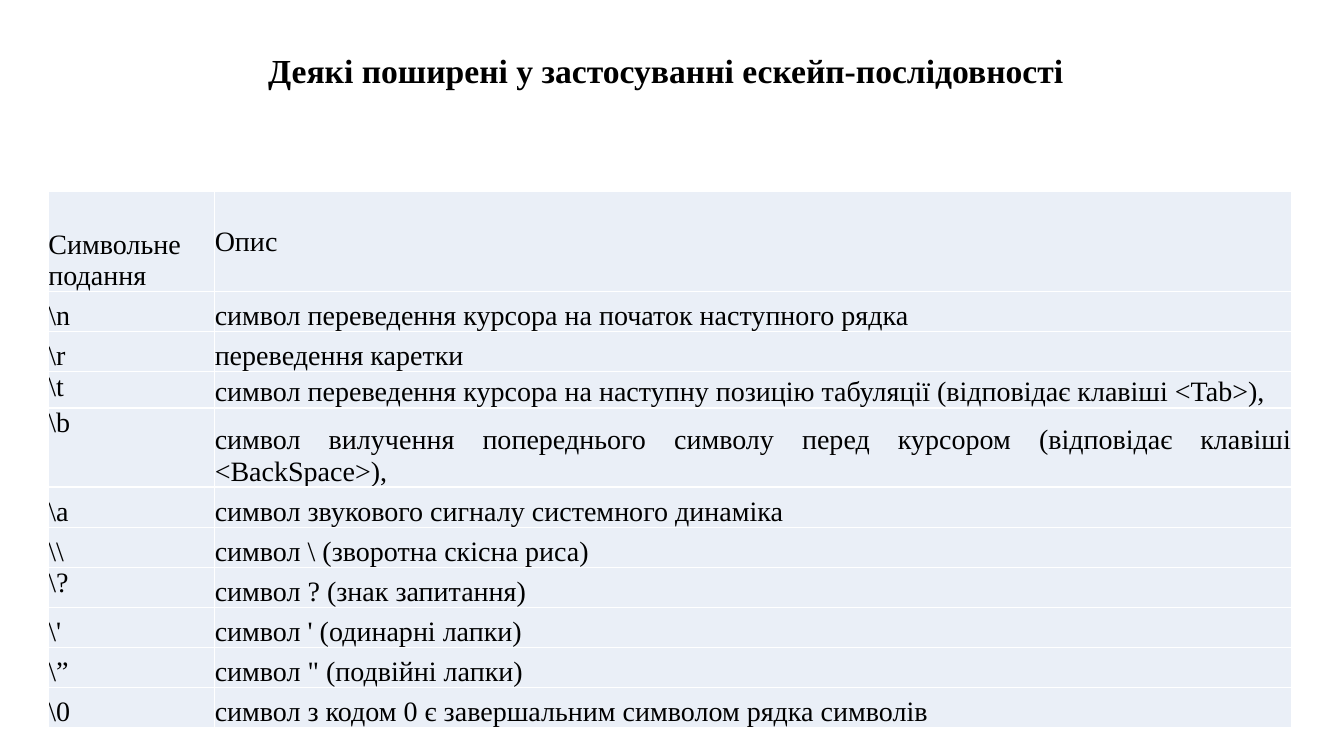
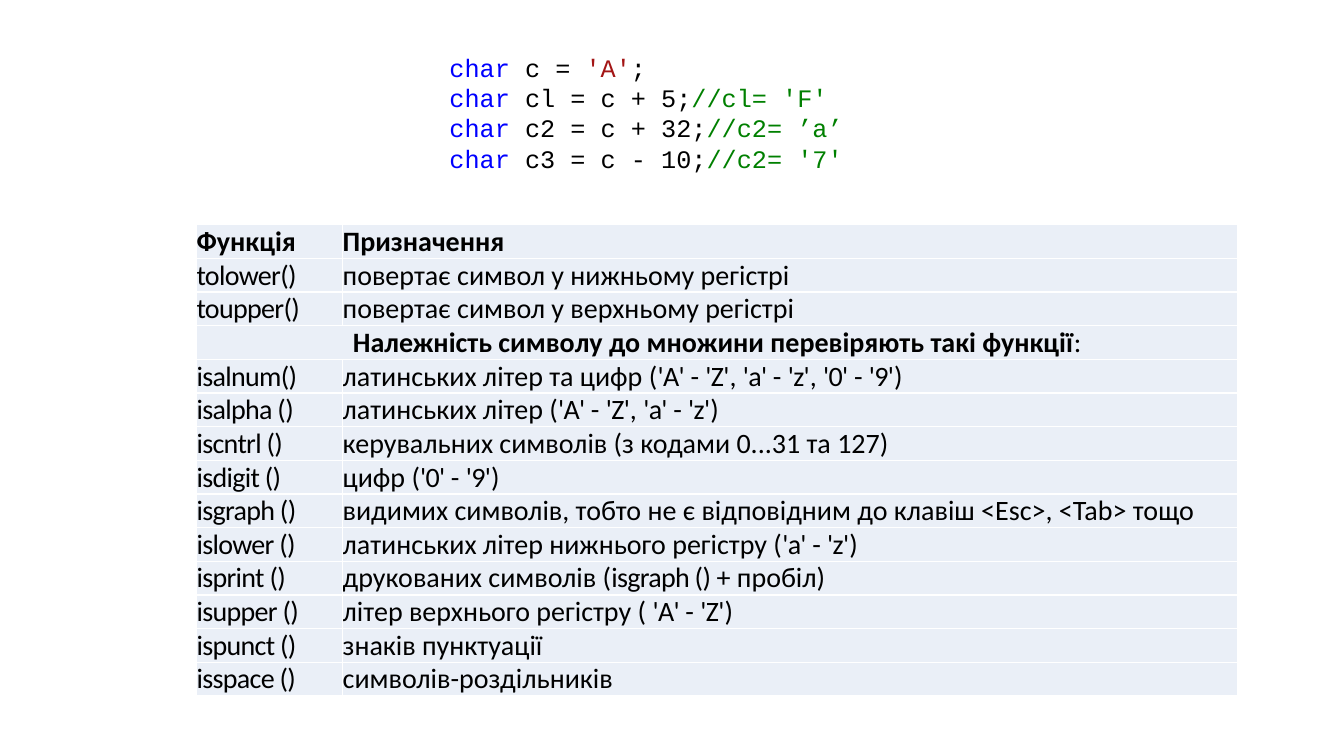
from dataclasses import dataclass

from lxml.etree import SubElement
from pptx import Presentation
from pptx.dml.color import RGBColor
from pptx.enum.text import MSO_ANCHOR, MSO_AUTO_SIZE, PP_ALIGN
from pptx.oxml.ns import qn
from pptx.util import Inches, Pt

SLIDE_WIDTH = Inches(13.33)
SLIDE_HEIGHT = Inches(7.5)
COLUMN = SLIDE_WIDTH / 100
ROW = SLIDE_HEIGHT / 100

BLACK = RGBColor(0x00, 0x00, 0x00)
CELL_FILL = RGBColor(0xEA, 0xEF, 0xF7)
BORDER = RGBColor(0xFF, 0xFF, 0xFF)
KEYWORD = RGBColor(0x00, 0x00, 0xFF)
LITERAL = RGBColor(0xA3, 0x15, 0x15)
REMARK = RGBColor(0x00, 0x80, 0x00)

SERIF = "Times New Roman"
SANS = "Calibri"
MONO = "Courier New"

TITLE_SIZE = 24
TABLE_SIZE = 20
CODE_SIZE = 18
TIGHT_SPACING = "-50"
TITLE_ONLY, BLANK = 5, 6

ESCAPE_ROWS = [
    ("Символьне\nподання", "Опис"),
    ("\\n", "символ переведення курсора на початок наступного рядка"),
    ("\\r", "переведення каретки"),
    ("\\t", "символ переведення курсора на наступну позицію табуляції (відповідає клавіші <Tab>),"),
    ("\\b", "символ вилучення попереднього символу перед курсором (відповідає клавіші <BackSpace>),"),
    ("\\a", "символ звукового сигналу системного динаміка"),
    ("\\\\", "символ \\ (зворотна скісна риса)"),
    ("\\?", "символ ? (знак запитання)"),
    ("\\'", "символ ' (одинарні лапки)"),
    ("\\”", "символ \" (подвійні лапки)"),
    ("\\0", "символ з кодом 0 є завершальним символом рядка символів"),
]
ESCAPE_HEIGHTS = [1, 0.4, 0.4, 0.36, 0.79] + [0.4] * 6
TOP_ANCHORED = ("\\t", "\\b", "\\?")

FUNCTION_HEADER = ("Функція", "Призначення")
CASE_FUNCTIONS = [
    ("tolower()", "повертає символ у нижньому регістрі"),
    ("toupper()", "повертає символ у верхньому регістрі"),
]
MEMBERSHIP_HEADING = "Належність символу до множини перевіряють такі функції"
# Pieces between bars alternate between normal and tight spacing.
MEMBERSHIP_FUNCTIONS = [
    ("isalnum()", "латинських літер та цифр (|'A' |- |'Z'|, |'a' |- |'z'|, |'0' |- |'9'|)"),
    ("isalpha ()", "латинських літер (|'A' |- |'Z'|, |'a' |- |'z'|)"),
    ("iscntrl ()", "керувальних символів (з кодами 0...31 та 127)"),
    ("isdigit ()", "цифр (|'0' |- |'9'|)"),
    ("isgraph ()", "видимих символів, тобто не є відповідним до клавіш <Esc>, <Tab> тощо"),
    ("islower ()", "латинських літер нижнього регістру (|'a' |- |'z'|)"),
    ("isprint ()", "друкованих символів (|isgraph () |+ пробіл)"),
    ("isupper ()", "літер верхнього регістру ( |'A' |- |'Z'|)"),
    ("ispunct ()", "знаків пунктуації"),
    ("isspace ()", "символів-роздільників"),
]

CODE_LINES = [
    [("char", KEYWORD), (" c = ", BLACK), ("'A'", LITERAL), (";", BLACK)],
    [("char", KEYWORD), (" cl = c + 5;", BLACK), ("//cl= 'F'", REMARK)],
    [("char", KEYWORD), (" c2 = c + 32;", BLACK), ("//c2= ’a’", REMARK)],
    [("char", KEYWORD), (" c3 = c - 10;", BLACK), ("//c2= '7'", REMARK)],
]


@dataclass
class Box:
    left: float
    top: float
    width: float
    height: float

    def lengths(self):
        return (round(self.left * COLUMN), round(self.top * ROW),
                round(self.width * COLUMN), round(self.height * ROW))


TITLE_BOX = Box(19.2, 5.87, 61.3, 6.67)
ESCAPE_BOX = Box(3.6, 25.33, 92.5, 70.93)
CODE_BOX = Box(32.7, 6.27, 50, 17.47)
FUNCTION_BOX = Box(14.63, 29.73, 77.45, 62.27)


def add_run(paragraph, text, font_name, size, color=BLACK, bold=False, tight=False):
    run = paragraph.add_run()
    run.text = text
    run.font.name = font_name
    run.font.size = Pt(size)
    run.font.color.rgb = color
    run.font.bold = bold
    if tight:
        run.font._element.set("spc", TIGHT_SPACING)


def next_paragraph(text_frame, index):
    return text_frame.add_paragraph() if index else text_frame.paragraphs[0]


def add_borders(cell):
    properties = cell._tc.get_or_add_tcPr()
    for index, side in enumerate(("lnL", "lnR", "lnT", "lnB")):
        line = SubElement(properties, qn(f"a:{side}"), w=str(Pt(1)))
        fill = SubElement(line, qn("a:solidFill"))
        SubElement(fill, qn("a:srgbClr"), val=str(BORDER))
        properties.insert(index, line)


def share_out(total, weights):
    return [round(total * weight / sum(weights)) for weight in weights]


def add_plain_table(slide, box, column_weights, row_weights):
    left, top, width, height = box.lengths()
    table = slide.shapes.add_table(
        len(row_weights), len(column_weights), left, top, width, height).table
    table.first_row = table.horz_banding = False
    for column, length in zip(table.columns, share_out(width, column_weights)):
        column.width = length
    for row, length in zip(table.rows, share_out(height, row_weights)):
        row.height = length
    for cell in table.iter_cells():
        cell.margin_left = cell.margin_right = cell.margin_top = cell.margin_bottom = 0
        cell.vertical_anchor = MSO_ANCHOR.BOTTOM
        cell.fill.solid()
        cell.fill.fore_color.rgb = CELL_FILL
        add_borders(cell)
    return table


def write_cell(cell, text, font_name, bold=False, tight=False):
    for index, line in enumerate(text.split("\n")):
        paragraph = next_paragraph(cell.text_frame, index)
        paragraph.alignment = PP_ALIGN.JUSTIFY
        for position, piece in enumerate(line.split("|")):
            add_run(paragraph, piece, font_name, TABLE_SIZE, bold=bold,
                    tight=tight or position % 2 == 1)


def place_title(slide, box, text):
    title = slide.shapes.title
    title.left, title.top, title.width, title.height = box.lengths()
    text_frame = title.text_frame
    text_frame.auto_size = MSO_AUTO_SIZE.NONE
    text_frame.vertical_anchor = MSO_ANCHOR.TOP
    paragraph = text_frame.paragraphs[0]
    paragraph.alignment = PP_ALIGN.LEFT
    add_run(paragraph, text, SERIF, TITLE_SIZE, bold=True)


def add_escape_table(slide, box):
    table = add_plain_table(slide, box, (1.65, 10.68), ESCAPE_HEIGHTS)
    for row, texts in enumerate(ESCAPE_ROWS):
        for column, text in enumerate(texts):
            cell = table.cell(row, column)
            write_cell(cell, text, SERIF)
            if text in TOP_ANCHORED:
                cell.vertical_anchor = MSO_ANCHOR.TOP
    table.cell(0, 1).vertical_anchor = MSO_ANCHOR.MIDDLE


def add_code(slide, box):
    text_frame = slide.shapes.add_textbox(*box.lengths()).text_frame
    text_frame.word_wrap = True
    for index, line in enumerate(CODE_LINES):
        paragraph = next_paragraph(text_frame, index)
        for text, color in line:
            add_run(paragraph, text, MONO, CODE_SIZE, color)


def add_function_table(slide, box):
    heading_row = 1 + len(CASE_FUNCTIONS)
    row_count = heading_row + 1 + len(MEMBERSHIP_FUNCTIONS)
    table = add_plain_table(slide, box, (1.45, 8.88), [1] * row_count)
    for column, text in enumerate(FUNCTION_HEADER):
        write_cell(table.cell(0, column), text, SANS, bold=True)
    for first_row, functions in ((1, CASE_FUNCTIONS), (heading_row + 1, MEMBERSHIP_FUNCTIONS)):
        for row, (name, purpose) in enumerate(functions, first_row):
            write_cell(table.cell(row, 0), name, SANS, tight=True)
            write_cell(table.cell(row, 1), purpose, SANS)
    heading = table.cell(heading_row, 0)
    heading.merge(table.cell(heading_row, 1))
    write_cell(heading, MEMBERSHIP_HEADING, SANS, bold=True)
    paragraph = heading.text_frame.paragraphs[0]
    paragraph.alignment = PP_ALIGN.CENTER
    add_run(paragraph, ":", SANS, TABLE_SIZE)


def build_escape_slide(presentation):
    slide = presentation.slides.add_slide(presentation.slide_layouts[TITLE_ONLY])
    add_escape_table(slide, ESCAPE_BOX)
    place_title(slide, TITLE_BOX, "Деякі поширені у застосуванні ескейп-послідовності")


def build_function_slide(presentation):
    slide = presentation.slides.add_slide(presentation.slide_layouts[BLANK])
    add_code(slide, CODE_BOX)
    add_function_table(slide, FUNCTION_BOX)


def main():
    presentation = Presentation()
    presentation.slide_width = SLIDE_WIDTH
    presentation.slide_height = SLIDE_HEIGHT
    build_escape_slide(presentation)
    build_function_slide(presentation)
    presentation.save("out.pptx")


if __name__ == "__main__":
    main()
